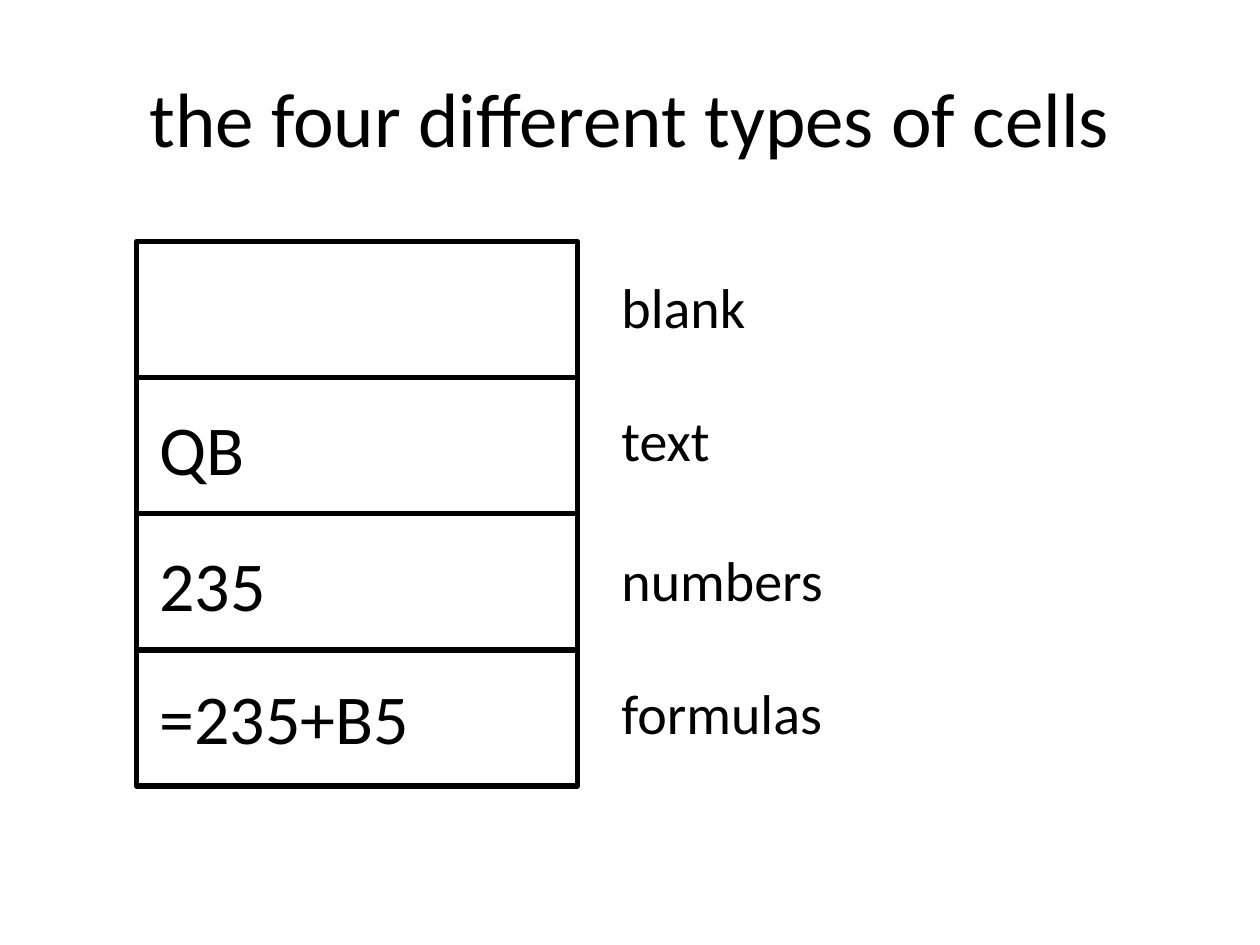
from pptx import Presentation
from pptx.dml.color import RGBColor
from pptx.enum.shapes import MSO_SHAPE as Shape
from pptx.enum.text import MSO_ANCHOR as Anchor, MSO_AUTO_SIZE as AutoSize, PP_ALIGN as Align
from pptx.util import Pt

TITLE = "the four different types of cells"
# (cell content, content top, type label, label top)
CELLS = [
    ("", None, "blank", 152),
    ("QB", 228, "text", 228),
    ("235", 306, "numbers", 308),
    ("=235+B5", 382, "formulas", 384),
]
THEME = {
    "font": "Calibri",
    "ink": RGBColor(0, 0, 0),
    "paper": RGBColor(255, 255, 255),
    "title": 44, "content": 40, "label": 32,
    "line": 3,
}
CELL_LEFT, CELL_TOP, CELL_WIDTH, CELL_HEIGHT = 78, 138, 252, 77.8
CONTENT_LEFT, CONTENT_WIDTH, CONTENT_HEIGHT = 84, 240, 55.7
LABEL_LEFT, LABEL_WIDTH, LABEL_HEIGHT = 348, 216, 46


def set_text(shape, text, role):
    shape.text_frame.text = text
    paragraph = shape.text_frame.paragraphs[0]
    paragraph.font.name = THEME["font"]
    paragraph.font.size = Pt(THEME[role])
    paragraph.font.color.rgb = THEME["ink"]
    return paragraph


def add_cell(slide, row):
    cell = slide.shapes.add_shape(
        Shape.RECTANGLE, Pt(CELL_LEFT), Pt(CELL_TOP + row * CELL_HEIGHT),
        Pt(CELL_WIDTH), Pt(CELL_HEIGHT))
    cell.shadow.inherit = False
    cell.fill.solid()
    cell.fill.fore_color.rgb = THEME["paper"]
    cell.line.color.rgb = THEME["ink"]
    cell.line.width = Pt(THEME["line"])


def add_text(slide, text, role, left, top, width, height):
    box = slide.shapes.add_textbox(Pt(left), Pt(top), Pt(width), Pt(height))
    box.text_frame.word_wrap = True
    box.text_frame.auto_size = AutoSize.SHAPE_TO_FIT_TEXT
    set_text(box, text, role)


def main():
    presentation = Presentation()
    presentation.slide_width, presentation.slide_height = Pt(720), Pt(540)
    slide = presentation.slides.add_slide(presentation.slide_layouts[5])

    # Title
    title = slide.shapes.title
    title.left, title.top, title.width, title.height = Pt(36), Pt(21.6), Pt(648), Pt(90)
    set_text(title, TITLE, "title").alignment = Align.CENTER
    title.text_frame.vertical_anchor = Anchor.MIDDLE

    # Column of cells, each with its content and type
    for row in range(len(CELLS)):
        add_cell(slide, row)
    for content, content_top, label, label_top in CELLS:
        add_text(slide, label, "label", LABEL_LEFT, label_top, LABEL_WIDTH, LABEL_HEIGHT)
        if content:
            add_text(slide, content, "content", CONTENT_LEFT, content_top,
                     CONTENT_WIDTH, CONTENT_HEIGHT)

    presentation.save("out.pptx")


if __name__ == "__main__":
    main()
